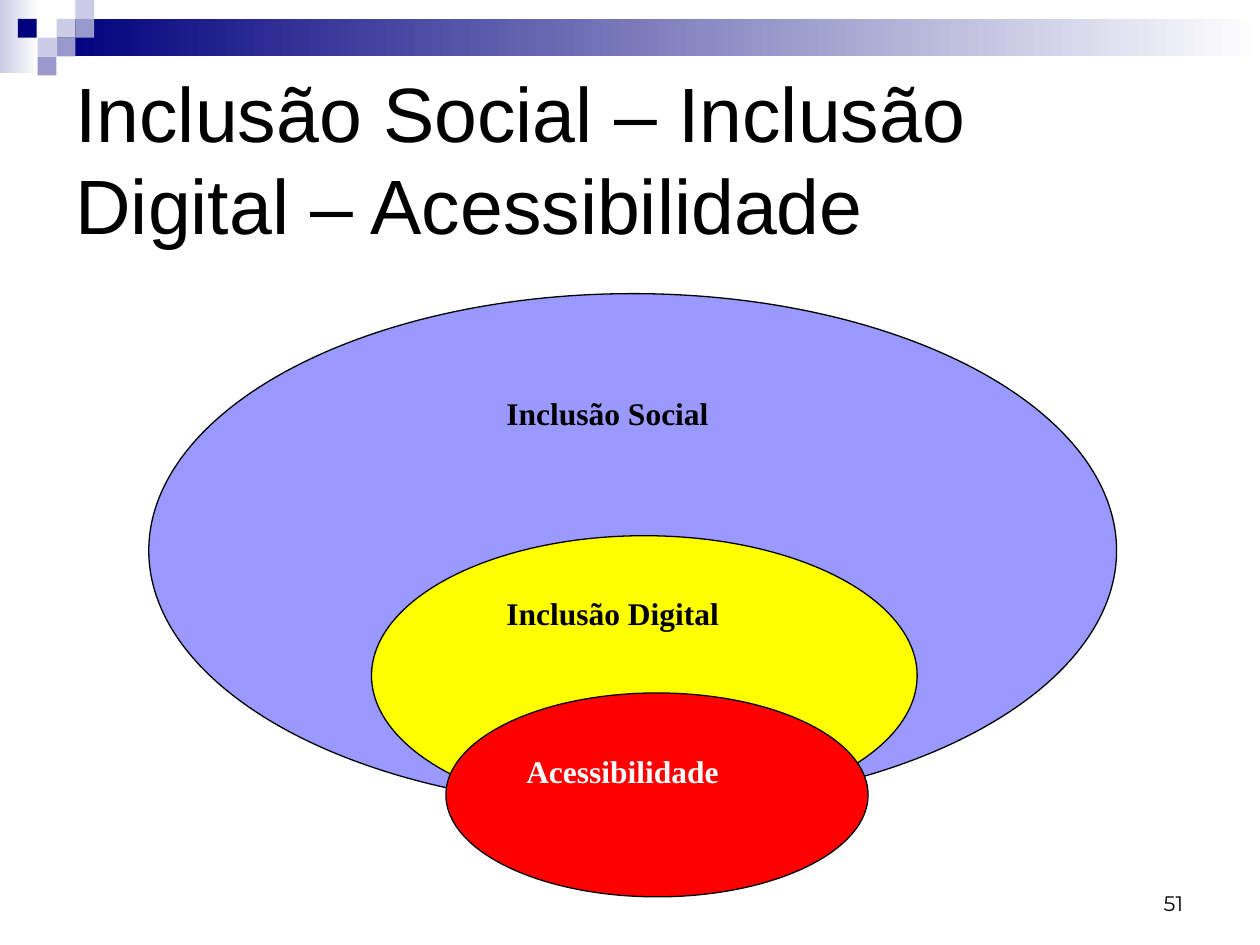
from dataclasses import dataclass

import pptx
import pptx.dml.color
import pptx.enum.shapes
import pptx.enum.text
import pptx.util
from pptx.dml.color import RGBColor
from pptx.util import Cm

BLACK = RGBColor(0x00, 0x00, 0x00)
WHITE = RGBColor(0xFF, 0xFF, 0xFF)
NAVY = RGBColor(0x00, 0x00, 0x7D)
LAVENDER = RGBColor(0xCC, 0xCC, 0xE6)
MAUVE = RGBColor(0x99, 0x99, 0xCC)
PERIWINKLE = RGBColor(0x99, 0x99, 0xFF)
YELLOW = RGBColor(0xFF, 0xFF, 0x00)
RED = RGBColor(0xFF, 0x00, 0x00)

TILE = 0.38  # side of one header tile, in cm
SHAPES = pptx.enum.shapes.MSO_SHAPE
ANCHORS = pptx.enum.text.MSO_ANCHOR
ALIGNMENTS = pptx.enum.text.PP_ALIGN


@dataclass(frozen=True)
class Box:
    """A position and size in centimetres."""
    left: float
    top: float
    width: float
    height: float

    def lengths(self) -> tuple:
        return Cm(self.left), Cm(self.top), Cm(self.width), Cm(self.height)


@dataclass(frozen=True)
class Tile:
    column: float
    row: int
    color: RGBColor


@dataclass(frozen=True)
class Level:
    """One nested ellipse with its label."""
    ellipse: Box
    fill: RGBColor
    label: str
    label_box: Box
    label_color: RGBColor


TILES = [
    Tile(3, 1, LAVENDER),
    Tile(4, 0, LAVENDER),
    Tile(4, 1, MAUVE),
    Tile(2, 2, LAVENDER),
    Tile(0.95, 1, NAVY),
    Tile(3, 2, MAUVE),
    Tile(2, 3, MAUVE),
]

LEVELS = [
    Level(Box(3, 5.92, 19.51, 10.36), PERIWINKLE,
          "Inclusão Social", Box(9.96, 7.82, 7.19, 1.02), BLACK),
    Level(Box(7.49, 10.8, 11, 5.64), YELLOW,
          "Inclusão Digital", Box(9.96, 11.86, 7.19, 1.02), BLACK),
    Level(Box(8.99, 13.97, 8.51, 4.11), RED,
          "Acessibilidade", Box(10.36, 15.04, 7.19, 1.02), WHITE),
]


def add_plain_shape(slide, kind, box: Box):
    shape = slide.shapes.add_shape(kind, *box.lengths())
    shape.shadow.inherit = False
    shape.line.fill.background()
    return shape


def add_gradient_bar(slide, box: Box, start: RGBColor, end: RGBColor) -> None:
    """Add a bar that fades from start at the left to end at the right."""
    fill = add_plain_shape(slide, SHAPES.RECTANGLE, box).fill
    fill.gradient()
    fill.gradient_angle = 0
    for stop, color in zip(fill.gradient_stops, (start, end)):
        stop.color.rgb = color


def add_tile(slide, tile: Tile) -> None:
    box = Box(tile.column * TILE, tile.row * TILE, TILE, TILE)
    shape = add_plain_shape(slide, SHAPES.RECTANGLE, box)
    shape.fill.solid()
    shape.fill.fore_color.rgb = tile.color


def add_ellipse(slide, level: Level) -> None:
    shape = add_plain_shape(slide, SHAPES.OVAL, level.ellipse)
    shape.fill.solid()
    shape.fill.fore_color.rgb = level.fill
    shape.line.color.rgb = BLACK
    shape.line.width = pptx.util.Pt(0.75)


def add_text(slide, box: Box, text: str, font: str, size: float,
             color: RGBColor = BLACK, bold: bool = False,
             anchor=ANCHORS.TOP, alignment=ALIGNMENTS.LEFT):
    frame = slide.shapes.add_textbox(*box.lengths()).text_frame
    frame.word_wrap = True
    frame.vertical_anchor = anchor
    paragraph = frame.paragraphs[0]
    paragraph.text = text
    paragraph.alignment = alignment
    paragraph.font.name = font
    paragraph.font.size = pptx.util.Pt(size)
    paragraph.font.bold = bold
    paragraph.font.color.rgb = color
    return frame


def add_label(slide, level: Level) -> None:
    frame = add_text(slide, level.label_box, level.label, "Times New Roman", 18,
                     level.label_color, bold=True)
    frame.auto_size = pptx.enum.text.MSO_AUTO_SIZE.SHAPE_TO_FIT_TEXT


def main() -> None:
    presentation = pptx.Presentation()
    presentation.slide_width = Cm(25.4)
    presentation.slide_height = Cm(19.05)
    slide = presentation.slides.add_slide(presentation.slide_layouts[6])

    add_gradient_bar(slide, Box(0, 0, 0.79, 1.47), LAVENDER, WHITE)
    add_gradient_bar(slide, Box(3 * TILE, TILE, 24.26, 2 * TILE), NAVY, WHITE)
    for tile in TILES:
        add_tile(slide, tile)

    add_text(slide, Box(1.27, 1.19, 22.86, 3.99),
             "Inclusão Social – Inclusão Digital – Acessibilidade",
             "Arial", 44, anchor=ANCHORS.MIDDLE)
    for level in LEVELS:
        add_ellipse(slide, level)
    for level in LEVELS:
        add_label(slide, level)
    add_text(slide, Box(18.21, 17.35, 5.89, 1.24), "51", "Montserrat", 12,
             anchor=ANCHORS.BOTTOM, alignment=ALIGNMENTS.RIGHT)

    presentation.save("out.pptx")


if __name__ == "__main__":
    main()
